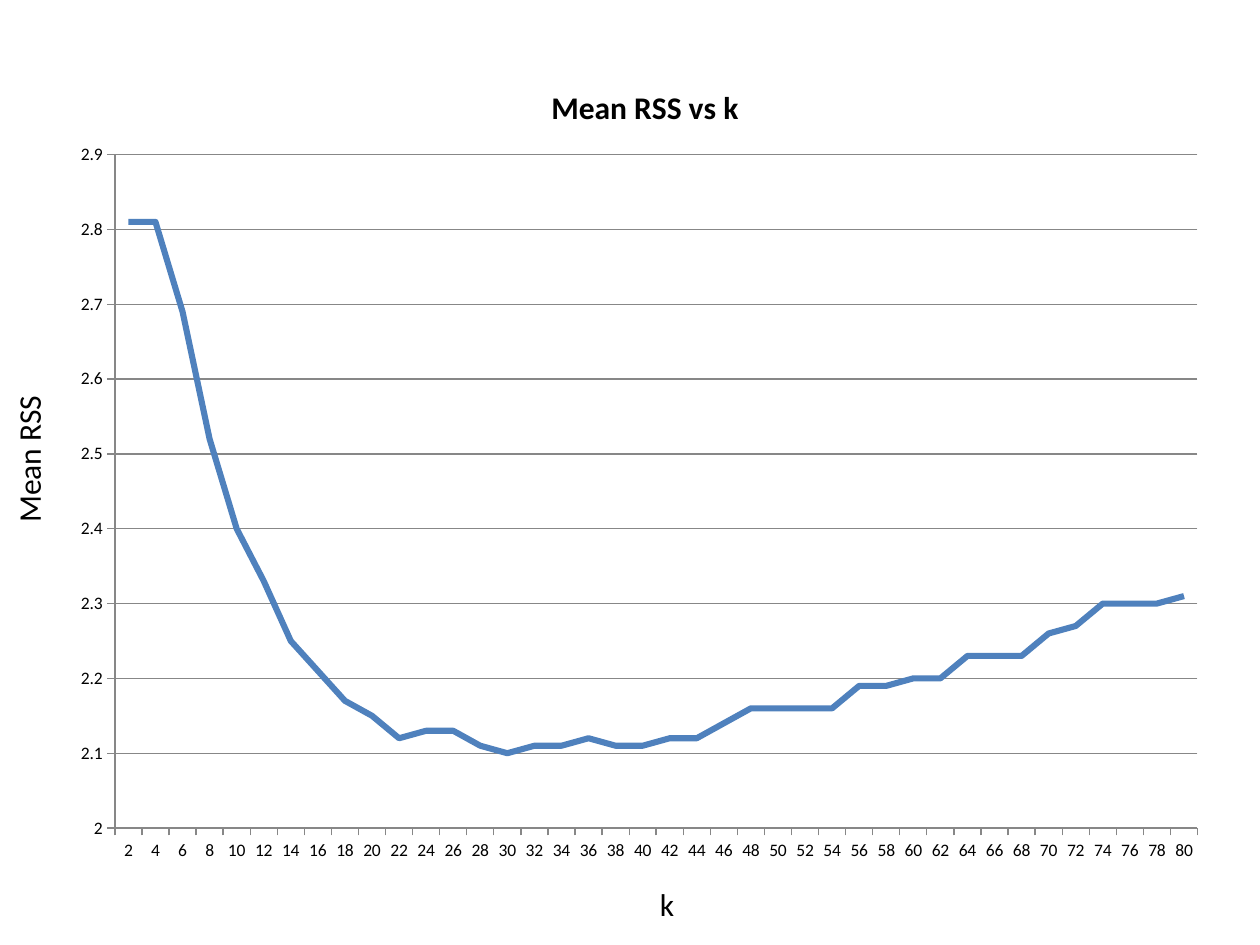
from lxml.etree import SubElement as Sub
from pptx import Presentation
from pptx.chart.data import CategoryChartData as Data
from pptx.dml.color import RGBColor as RGB
from pptx.enum.chart import XL_CHART_TYPE as Kind, XL_TICK_MARK as Tick
from pptx.enum.text import MSO_AUTO_SIZE as Auto
from pptx.oxml.ns import qn
from pptx.util import Pt

FACE = "Calibri"
BLACK, GREY, BLUE = "000000", "878787", "4F81BD"
MEANS = [
    2.81, 2.81, 2.69, 2.52, 2.4, 2.33, 2.25, 2.21, 2.17, 2.15,
    2.12, 2.13, 2.13, 2.11, 2.1, 2.11, 2.11, 2.12, 2.11, 2.11,
    2.12, 2.12, 2.14, 2.16, 2.16, 2.16, 2.16, 2.19, 2.19, 2.2,
    2.2, 2.23, 2.23, 2.23, 2.26, 2.27, 2.3, 2.3, 2.3, 2.31,
]


def tint(text):
    return RGB.from_string(text)


def style(font, size, bold=False):
    font.name, font.size, font.bold = FACE, Pt(size), bold
    font.color.rgb = tint(BLACK)


def stroke(line, shade, width):
    line.color.rgb = tint(shade)
    line.width = Pt(width)


def place(node, **parts):
    for old in node.findall(qn("c:layout")):
        node.remove(old)
    frame = node.makeelement(qn("c:layout"))
    box = Sub(frame, qn("c:manualLayout"))
    if "w" in parts:
        Sub(box, qn("c:layoutTarget"), val="inner")
    for key in "xy":
        Sub(box, qn(f"c:{key}Mode"), val="edge")
    for key, part in parts.items():
        Sub(box, qn(f"c:{key}"), val=str(part))
    text = node.find(qn("c:tx"))
    if text is None:
        node.insert(0, frame)
    else:
        text.addnext(frame)


def set_axis(axis):
    axis.major_tick_mark = Tick.OUTSIDE
    axis.minor_tick_mark = Tick.NONE
    stroke(axis.format.line, GREY, 0.75)
    style(axis.tick_labels.font, 10)


def add_plot(slide):
    data = Data(number_format="General")
    data.categories = [str(2 * i) for i in range(1, len(MEANS) + 1)]
    data.add_series("Series 1", MEANS)
    chart = slide.shapes.add_chart(
        Kind.LINE, Pt(32.4), Pt(26.6), Pt(665.3), Pt(475.2), data).chart
    style(chart.font, 10)
    chart.has_legend = False
    chart.has_title = True
    title = chart.chart_title
    title.include_in_layout = False
    head = title.text_frame.paragraphs[0]
    head.text = "Mean RSS vs k"
    style(head.font, 18, True)

    set_axis(chart.category_axis)
    axis = chart.value_axis
    set_axis(axis)
    axis.minimum_scale, axis.maximum_scale, axis.major_unit = 2, 2.9, 0.1
    axis.has_major_gridlines = True
    stroke(axis.major_gridlines.format.line, GREY, 0.75)

    plot = chart.plots[0]
    plot.vary_by_categories = False
    curve = plot.series[0]
    curve.smooth = False
    stroke(curve.format.line, BLUE, 3.5)

    area = chart.element.find(".//" + qn("c:plotArea"))
    place(area, x=0.05, y=0.13, w=0.93, h=0.81)
    place(chart.element.find(".//" + qn("c:title")), x=0.42, y=0.04)


def add_label(slide, text, left, top, width, turn=0):
    box = slide.shapes.add_textbox(Pt(left), Pt(top), Pt(width), Pt(29))
    box.rotation = turn
    frame = box.text_frame
    frame.word_wrap = False
    frame.auto_size = Auto.SHAPE_TO_FIT_TEXT
    line = frame.paragraphs[0]
    line.text = text
    style(line.font, 18)


def main():
    deck = Presentation()
    deck.slide_width, deck.slide_height = Pt(720), Pt(540)
    slide = deck.slides.add_slide(deck.slide_layouts[6])
    add_plot(slide)
    add_label(slide, "Mean RSS", -28, 247, 88.5, 270)
    add_label(slide, "k", 370, 502, 23)
    deck.save("out.pptx")


if __name__ == "__main__":
    main()
